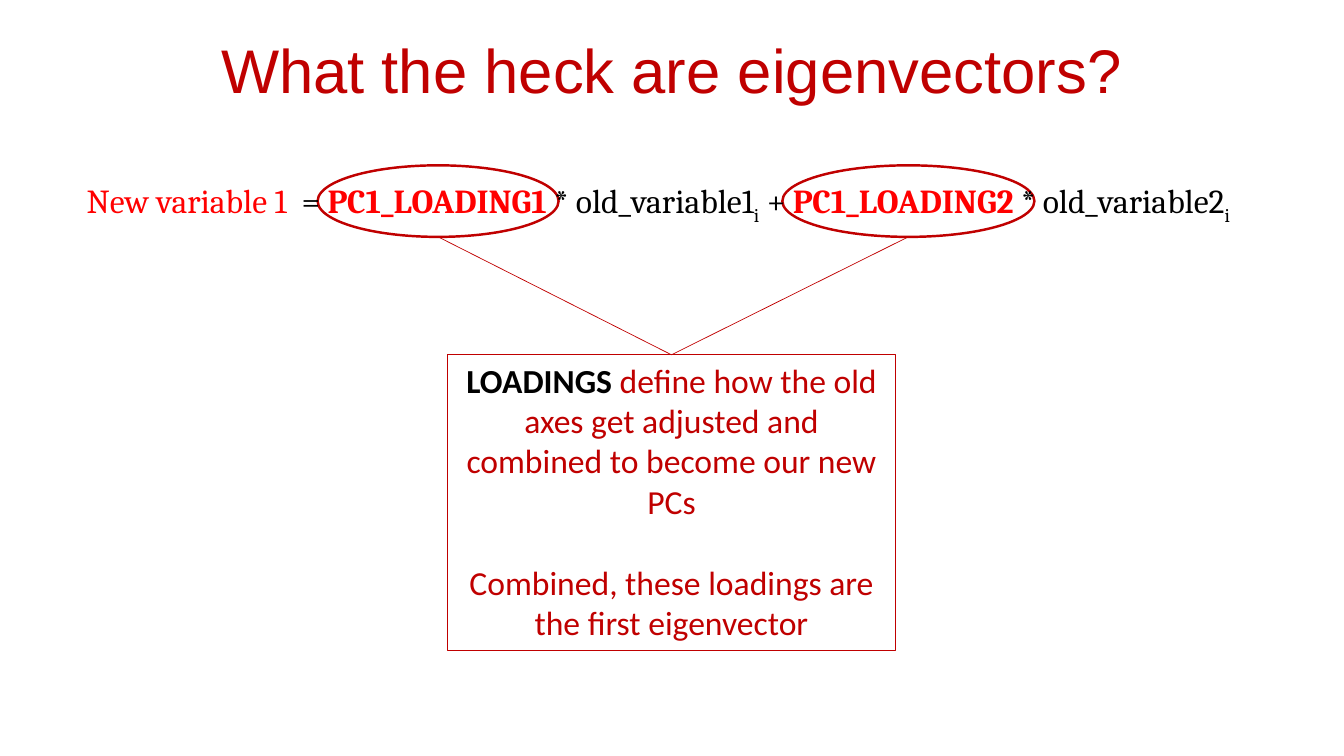
from lxml import etree
from pptx import Presentation
from pptx.dml.color import RGBColor
from pptx.enum.shapes import MSO_CONNECTOR, MSO_SHAPE
from pptx.enum.text import MSO_ANCHOR, PP_ALIGN
from pptx.oxml.ns import qn
from pptx.util import Inches, Pt

CENTER = PP_ALIGN.CENTER
MIDDLE = MSO_ANCHOR.MIDDLE
STRAIGHT = MSO_CONNECTOR.STRAIGHT
RECTANGLE = MSO_SHAPE.RECTANGLE
OVAL = MSO_SHAPE.OVAL

COLORS = {"crimson": "C00000", "red": "FF0000", "black": "000000"}


def color(name):
    return RGBColor.from_string(COLORS[name])


def add_text(paragraph, text, font="Calibri", size=24, fill="crimson", bold=False, **attributes):
    paragraph.alignment = CENTER
    run = paragraph.add_run()
    run.text = text
    run.font.name = font
    run.font.size = Pt(size)
    run.font.bold = bold
    run.font.color.rgb = color(fill)
    for name, value in attributes.items():
        run.font._element.set(name, str(value))


def add_outline(slide, kind, box, width):
    shape = slide.shapes.add_shape(kind, *map(Inches, box))
    shape.shadow.inherit = False
    shape.fill.background()
    shape.line.color.rgb = color("crimson")
    shape.line.width = Pt(width)
    return shape


def add_title(slide, box):
    frame = slide.shapes.add_textbox(*map(Inches, box)).text_frame
    frame.word_wrap = True
    frame.vertical_anchor = MIDDLE
    add_text(frame.paragraphs[0], "What the heck are eigenvectors?", font="Arial", size=44)


def add_explanation(slide, box):
    frame = add_outline(slide, RECTANGLE, box, 0.75).text_frame
    frame.word_wrap = True
    frame.vertical_anchor = MSO_ANCHOR.TOP
    definition = frame.paragraphs[0]
    add_text(definition, "LOADINGS", fill="black", bold=True)
    add_text(definition, " define how the old axes get adjusted and combined to become our new PCs")
    conclusion = frame.add_paragraph()
    conclusion.space_before = Pt(29.3)
    add_text(conclusion, "Combined, these loadings are the first eigenvector")


def add_pointer(slide, start, end):
    connector = slide.shapes.add_connector(STRAIGHT, *map(Inches, start + end))
    connector.line.color.rgb = color("crimson")
    connector.line.width = Pt(0.5)
    etree.SubElement(connector._element.spPr, qn("a:effectLst"))


def add_loading_ring(slide, box, target):
    left, top, width, height = box
    add_pointer(slide, (left + width / 2, top + height), target)
    add_outline(slide, OVAL, box, 1.75)


def add_equation(slide, box):
    frame = slide.shapes.add_textbox(*map(Inches, box)).text_frame
    frame.word_wrap = False
    paragraph = frame.paragraphs[0]
    add_text(paragraph, "New variable 1", font="Cambria", fill="red")
    add_text(paragraph, " ", font="Cambria", fill="red", spc=530)
    for number, lead in enumerate(("= ", " + "), start=1):
        add_text(paragraph, lead, font="Cambria", fill="black")
        add_text(paragraph, f"PC1_LOADING{number} ", font="Cambria", fill="red", bold=True)
        add_text(paragraph, f"* old_variable{number}", font="Cambria", fill="black")
        add_text(paragraph, "i", font="Cambria", fill="black", baseline=-25000)


def build_slide(presentation):
    slide = presentation.slides.add_slide(presentation.slide_layouts[6])
    add_title(slide, (0, 0.06, 13.33, 1.25))
    left, top, width, height = explanation = (4.44, 3.52, 4.44, 2.93)
    add_explanation(slide, explanation)
    for ring_left, ring_width in ((3.15, 2.39), (7.76, 2.5)):
        add_loading_ring(slide, (ring_left, 1.64, ring_width, 0.71), (left + width / 2, top))
    add_equation(slide, (0.28, 1.74, 12.5, 0.5))


def main():
    presentation = Presentation()
    presentation.slide_width = Inches(13.33)
    presentation.slide_height = Inches(7.5)
    build_slide(presentation)
    presentation.save("out.pptx")


if __name__ == "__main__":
    main()
